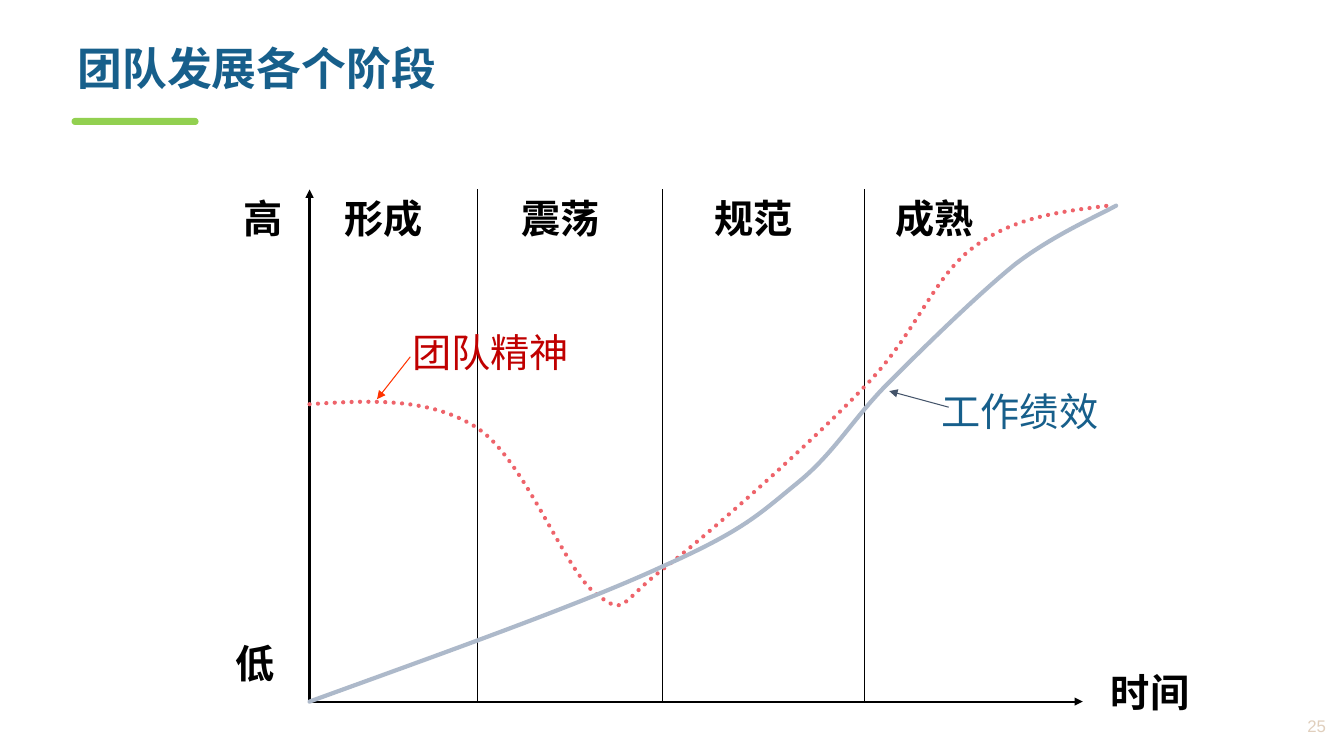
from lxml import etree
from pptx import Presentation
from pptx.dml.color import RGBColor
from pptx.enum.dml import MSO_LINE
from pptx.enum.shapes import MSO_CONNECTOR, MSO_SHAPE
from pptx.enum.text import MSO_ANCHOR, PP_ALIGN
from pptx.oxml.ns import qn
from pptx.util import Inches, Pt

BLACK = RGBColor(0x00, 0x00, 0x00)
BLUE = RGBColor(0x17, 0x5F, 0x8B)
GREEN = RGBColor(0x92, 0xD0, 0x50)
CORAL = RGBColor(0xEE, 0x63, 0x6A)
STEEL = RGBColor(0xAD, 0xB9, 0xCA)
DARK_RED = RGBColor(0xC0, 0x00, 0x00)
ORANGE = RGBColor(0xFF, 0x33, 0x00)
SLATE = RGBColor(0x44, 0x54, 0x6A)
SAND = RGBColor(0xE0, 0xCF, 0xBD)
CJK_FONT = "Noto Sans CJK SC"

deck = Presentation()
deck.slide_width, deck.slide_height = Inches(13.33), Inches(7.5)
page = deck.slides.add_slide(deck.slide_layouts[6])


def add_text(text, left, top, width, height, color, size=28, bold=False, font="Arial"):
    box = page.shapes.add_textbox(*map(Inches, (left, top, width, height)))
    box.text_frame.word_wrap = True
    para = box.text_frame.paragraphs[0]
    span = para.add_run()
    span.text = text
    span.font.color.rgb = color
    for name, value in {"size": Pt(size), "bold": bold, "name": font}.items():
        setattr(span.font, name, value)
    east_asian = etree.SubElement(span.font._element, qn("a:ea"))
    east_asian.set("typeface", CJK_FONT)
    return box


def add_line(start, end, color=BLACK, width=0.75, arrow=False):
    line = page.shapes.add_connector(
        MSO_CONNECTOR.STRAIGHT, *map(Inches, (*start, *end)))
    line.line.color.rgb = color
    line.line.width = Pt(width)
    if arrow:
        etree.SubElement(line.line._get_or_add_ln(), qn("a:tailEnd")).set("type", "triangle")
    etree.SubElement(line._element.spPr, qn("a:effectLst"))


# Title with its green underline
underline = page.shapes.add_shape(
    MSO_SHAPE.ROUND_2_SAME_RECTANGLE, *map(Inches, (0.71, 1.17, 1.26, 0.07)))
underline.shadow.inherit = False
underline.adjustments[0] = underline.adjustments[1] = 0.5
underline.fill.solid()
underline.fill.fore_color.rgb = GREEN
underline.line.fill.background()
title = add_text("团队发展各个阶段", 0.67, 0.41, 12.19, 0.75, BLUE, 32, True, CJK_FONT)
title.text_frame.paragraphs[0].line_spacing = 0.9

# Axes and stage dividers
LEFT, TOP, RIGHT, BOTTOM = 3.07, 1.88, 10.74, 6.96
for axis_end in ((LEFT, TOP), (RIGHT, BOTTOM)):
    add_line((LEFT, BOTTOM), axis_end, width=1.5, arrow=True)
for x in (4.74, 6.57, 8.57):
    add_line((x, TOP), (x, BOTTOM))

# Axis and stage labels
for text, left, top, width in (
    ("高", 2.32, TOP, 0.58),
    ("低", 2.24, 6.29, 0.58),
    ("形成", 3.32, TOP, 1.17),
    ("震荡", 5.07, TOP, 1.17),
    ("规范", 6.99, TOP, 1.17),
    ("成熟", 8.78, TOP, 1.17),
    ("时间", 10.92, 6.58, 1.02),
):
    add_text(text, left, top, width, 0.57, BLACK, bold=True)

# Curves: a start point, then two control points and an end point per segment
SPIRIT = [
    (3.07, 4.01), (3.67, 3.97), (4.27, 3.94), (4.74, 4.25),
    (5.21, 4.57), (5.6, 5.66), (5.91, 5.89),
    (6.21, 6.12), (6.13, 5.99), (6.57, 5.65),
    (7.02, 5.31), (8.06, 4.38), (8.57, 3.84),
    (9.09, 3.31), (9.25, 2.75), (9.66, 2.45),
    (10.06, 2.15), (10.52, 2.1), (10.99, 2.04),
]
PERFORMANCE = [
    (3.07, 6.96), (4.42, 6.47), (5.77, 5.99), (6.57, 5.62),
    (7.38, 5.26), (7.53, 5.1), (7.91, 4.79),
    (8.28, 4.49), (8.46, 4.15), (8.82, 3.79),
    (9.18, 3.43), (9.7, 2.92), (10.07, 2.62),
    (10.45, 2.33), (10.89, 2.14), (11.07, 2.04),
]
for knots, color, dash in (
    (SPIRIT, CORAL, MSO_LINE.ROUND_DOT),
    (PERFORMANCE, STEEL, MSO_LINE.SOLID),
):
    start, *others = [(Inches(x), Inches(y)) for x, y in knots]
    builder = page.shapes.build_freeform(*start)
    builder.add_line_segments(others, close=False)
    curve = builder.convert_to_shape()

    # Every three straight pieces become one Bézier segment
    pieces = list(curve._element.iter(qn("a:lnTo")))
    outline = pieces[0].getparent()
    for first in range(0, len(pieces), 3):
        bezier = etree.SubElement(outline, qn("a:cubicBezTo"))
        for piece in pieces[first:first + 3]:
            bezier.append(piece[0])
            outline.remove(piece)

    curve.shadow.inherit = False
    curve.fill.background()
    curve.line.color.rgb = color
    curve.line.width = Pt(3)
    curve.line.dash_style = dash
    curve.line._get_or_add_ln().set("cap", "rnd")

# Curve names with their arrows
add_text("团队精神", 3.99, 3.21, 2.33, 0.57, DARK_RED)
add_line((4.07, 3.54), (3.74, 3.96), ORANGE, arrow=True)
add_text("工作绩效", 9.24, 3.79, 1.92, 0.57, BLUE)
add_line((9.41, 4.04), (8.82, 3.88), SLATE, arrow=True)

# Page number
number = add_text("25", 12.12, 7.01, 1.13, 0.38, SAND, 12)
number.text_frame.vertical_anchor = MSO_ANCHOR.MIDDLE
number.text_frame.paragraphs[0].alignment = PP_ALIGN.RIGHT

deck.save("out.pptx")
